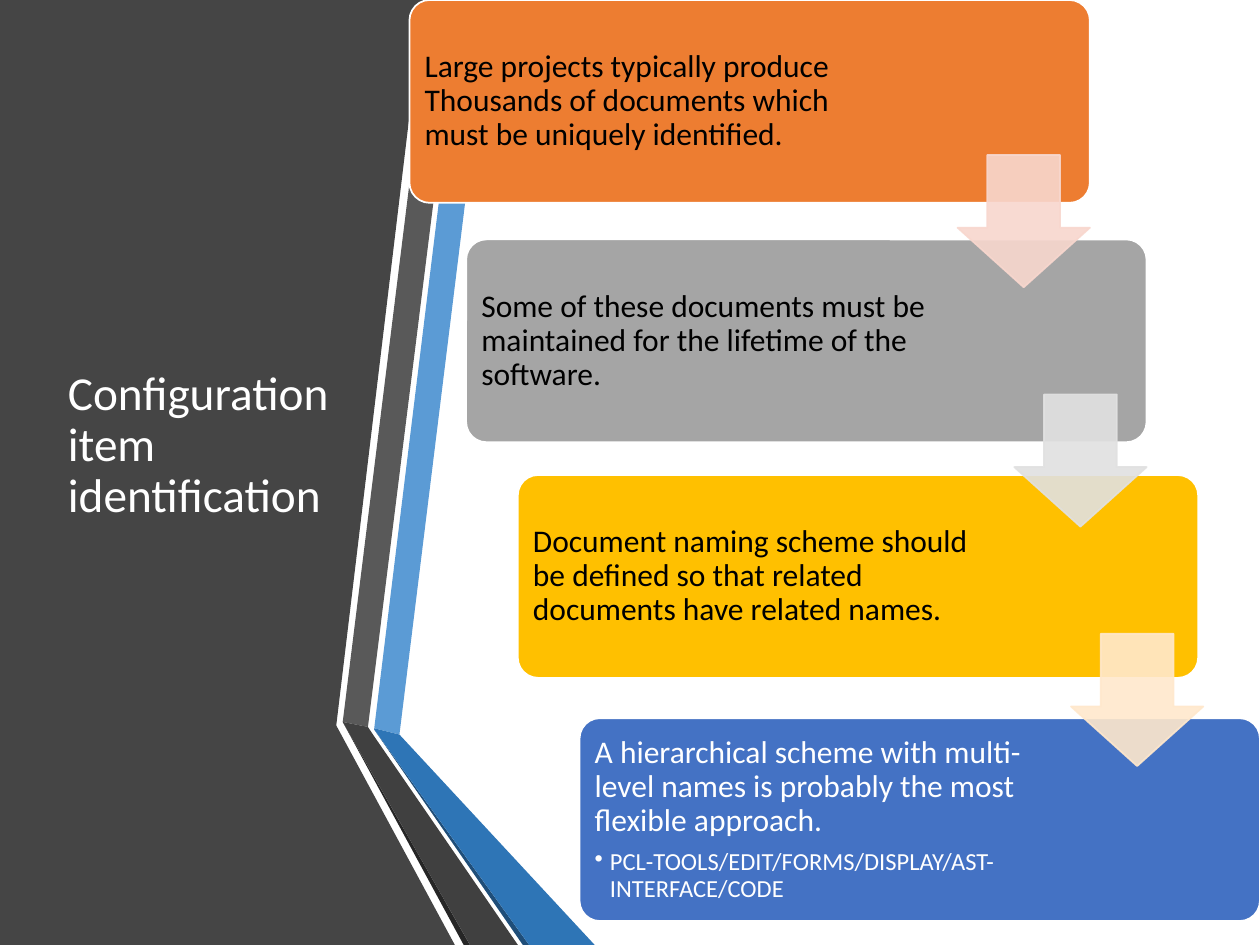
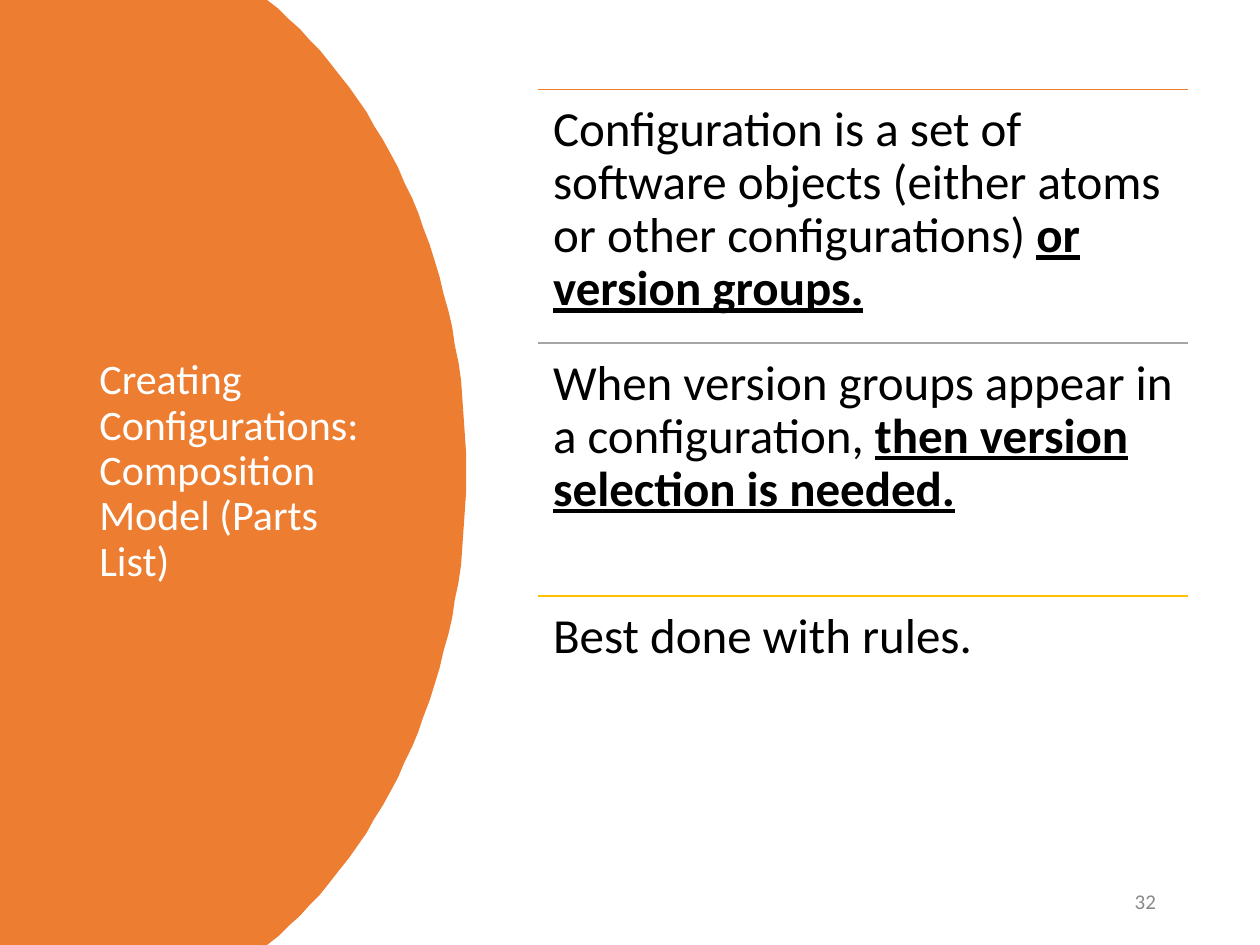
from lxml import etree
from pptx import Presentation, util as u
from pptx.dml.color import RGBColor
from pptx.enum import shapes as sh, text as tx
from pptx.oxml.ns import qn

PX = 9144
FONT = "Calibri"
HUE = {
    "white": "FFFFFF", "black": "000000", "dark": "454545", "mid": "595959",
    "coal": "404040", "soot": "262626", "sky": "5B9BD5", "blue": "2E75B6",
    "navy": "1F4E79", "orange": "ED7D31", "gray": "A5A5A5", "gold": "FFC000",
    "royal": "4472C4", "peach": "F8D7CE", "mist": "E1E1E1", "cream": "FFE8CC",
    "page": "898989",
}

BANDS = [
    ("dark", [(0, 0), (336, 0), (267, 575), (267, 576), (361, 750), (0, 750)]),
    ("sky", [(297, 578), (317, 583), (389, 0), (368, 0)]),
    ("mid", [(364, 0), (343, 0), (272, 573), (292, 577)]),
    ("soot", [(272, 573), (368, 750), (373, 750)]),
    ("navy", [(297, 579), (415, 750), (420, 750)]),
    ("blue", [(297, 579), (420, 750), (472, 750), (317, 583), (297, 578)]),
    ("coal", [(411, 750), (296, 583), (292, 577), (272, 573), (373, 750)]),
]
HEAD = ["Configuration item identification"]
CARDS = [
    (325, 0, 353, "orange", "black",
     "Large projects typically produce Thousands of documents which must be uniquely identified.", None),
    (370, 190, 381, "gray", "black",
     "Some of these documents must be maintained for the lifetime of the software.", None),
    (411, 377, 382, "gold", "black",
     "Document naming scheme should be defined so that related documents have related names.", None),
    (460, 570, 381, "royal", "white",
     "A hierarchical scheme with multi-level names is probably the most flexible approach.",
     "PCL-TOOLS/EDIT/FORMS/DISPLAY/AST-INTERFACE/CODE"),
]
ARROWS = ["peach", "mist", "cream"]

PARTS = ["Creating Configurations:", "Composition Model (Parts List)"]
RULES = [
    ("orange", "Configuration is a set of software objects (either atoms or other configurations) ",
     "or version groups."),
    ("gray", "When version groups appear in a configuration, ", "then version selection is needed."),
    ("gold", "Best done with rules.", ""),
]
ARC = [[(212, 0), (307, 77), (370, 216), (370, 375)],
       [(370, 375), (370, 534), (307, 673), (212, 750)]]


def rgb(name):
    return RGBColor.from_string(HUE[name])


def paint(shape, fill, edge=None):
    shape.shadow.inherit = False
    shape.fill.solid()
    shape.fill.fore_color.rgb = rgb(fill)
    if edge:
        shape.line.color.rgb = rgb(edge)
        shape.line.width = u.Pt(1)
    else:
        shape.line.fill.background()


def outline(slide, pts, fill):
    form = slide.shapes.build_freeform(*pts[0], scale=PX)
    form.add_line_segments(pts[1:], close=True)
    paint(form.convert_to_shape(), fill)


def preset(slide, kind, box, adj, fill, edge):
    shape = slide.shapes.add_shape(kind, *[v * PX for v in box])
    for i, val in enumerate(adj):
        shape.adjustments[i] = val
    paint(shape, fill, edge)
    return shape


def frame(slide, box, pad=None, mid=True):
    tf = slide.shapes.add_textbox(*[v * PX for v in box]).text_frame
    tf.word_wrap = True
    tf.vertical_anchor = tx.MSO_ANCHOR.MIDDLE if mid else tx.MSO_ANCHOR.TOP
    if pad:
        tf.margin_left = tf.margin_right = tf.margin_top = tf.margin_bottom = pad * PX
    return tf


def space(par, after=0, line=0.9):
    par.line_spacing = line
    par.space_after = u.Pt(after)


def add(par, words, size, hue, strong=False):
    run = par.add_run()
    run.text = words
    font = run.font
    font.name, font.size = FONT, u.Pt(size)
    font.color.rgb = rgb(hue)
    if strong:
        font.bold = font.underline = True


def title(slide, box, lines, size):
    par = frame(slide, box).paragraphs[0]
    space(par)
    for i, line in enumerate(lines):
        if i:
            par.add_line_break()
        add(par, line, size, "white")


def bullet(par):
    props = par._p.get_or_add_pPr()
    props.set("marL", str(12 * PX))
    props.set("indent", str(-12 * PX))
    etree.SubElement(props, qn("a:buChar")).set("char", "•")


def card(slide, left, top, wide, fill, ink, words, sub):
    preset(slide, sh.MSO_SHAPE.ROUNDED_RECTANGLE, (left, top, 540, 161), [0.1], fill, "white")
    tf = frame(slide, (left + 5, top + 5, wide, 151), 7)
    par = tf.paragraphs[0]
    space(par, 6.3)
    add(par, words, 18, ink)
    if sub:
        par = tf.add_paragraph()
        space(par, 2.1)
        bullet(par)
        add(par, sub, 14, ink)


def arrow(slide, left, top, hue):
    shape = preset(slide, sh.MSO_SHAPE.DOWN_ARROW, (left, top, 105, 105), [0.55, 0.45], hue, hue)
    for clr in shape._element.spPr.iter(qn("a:srgbClr")):
        etree.SubElement(clr, qn("a:alpha")).set("val", "90000")


def rule(slide, left, top, wide, hue):
    line = slide.shapes.add_connector(
        sh.MSO_CONNECTOR.STRAIGHT, left * PX, top * PX, (left + wide) * PX, top * PX)
    line.line.color.rgb = rgb(hue)
    line.line.width = u.Pt(1)
    etree.SubElement(line._element.spPr, qn("a:effectLst"))


def curve(ctrl, steps=32):
    a, b, c, d = ctrl
    for i in range(steps + 1):
        t = i / steps
        s = 1 - t
        yield tuple(s**3 * a[k] + 3 * s * s * t * b[k] + 3 * s * t * t * c[k] + t**3 * d[k]
                    for k in (0, 1))


def naming(slide):
    for hue, pts in BANDS:
        outline(slide, pts, hue)
    title(slide, (44, 75, 228, 558), HEAD, 27)
    for item in CARDS:
        card(slide, *item)
    for i, hue in enumerate(ARROWS):
        arrow(slide, 760 + 45 * i, 123 + 190 * i, hue)


def model(slide):
    edge = [pt for ctrl in ARC for pt in curve(ctrl)]
    outline(slide, [(0, 0), *edge, (0, 750)], "orange")
    title(slide, (69, 70, 242, 609), PARTS, 24)
    par = frame(slide, (706, 695, 225, 40)).paragraphs[0]
    par.alignment = tx.PP_ALIGN.RIGHT
    space(par, 6, 1)
    add(par, "32 ", 12, "page")
    left, top, wide, high = 427, 71, 516, 201
    for i, (hue, plain, strong) in enumerate(RULES):
        y = top + i * high
        rule(slide, left, y, wide, hue)
        par = frame(slide, (left, y, wide, high), 12, False).paragraphs[0]
        space(par, 9.8)
        add(par, plain, 28, "black")
        if strong:
            add(par, strong, 28, "black", True)


def main():
    deck = Presentation()
    deck.slide_width, deck.slide_height = 1000 * PX, 750 * PX
    for build in (naming, model):
        build(deck.slides.add_slide(deck.slide_layouts[6]))
    deck.save("out.pptx")


if __name__ == "__main__":
    main()
